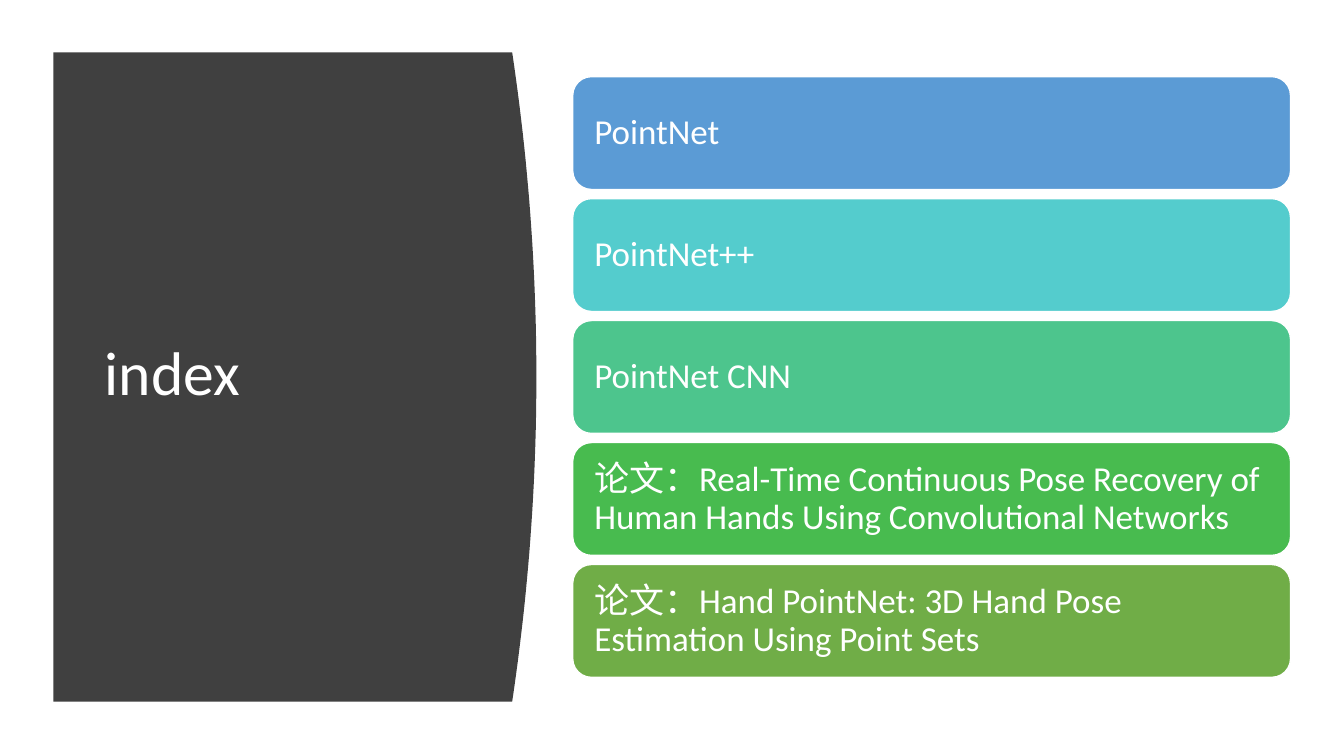
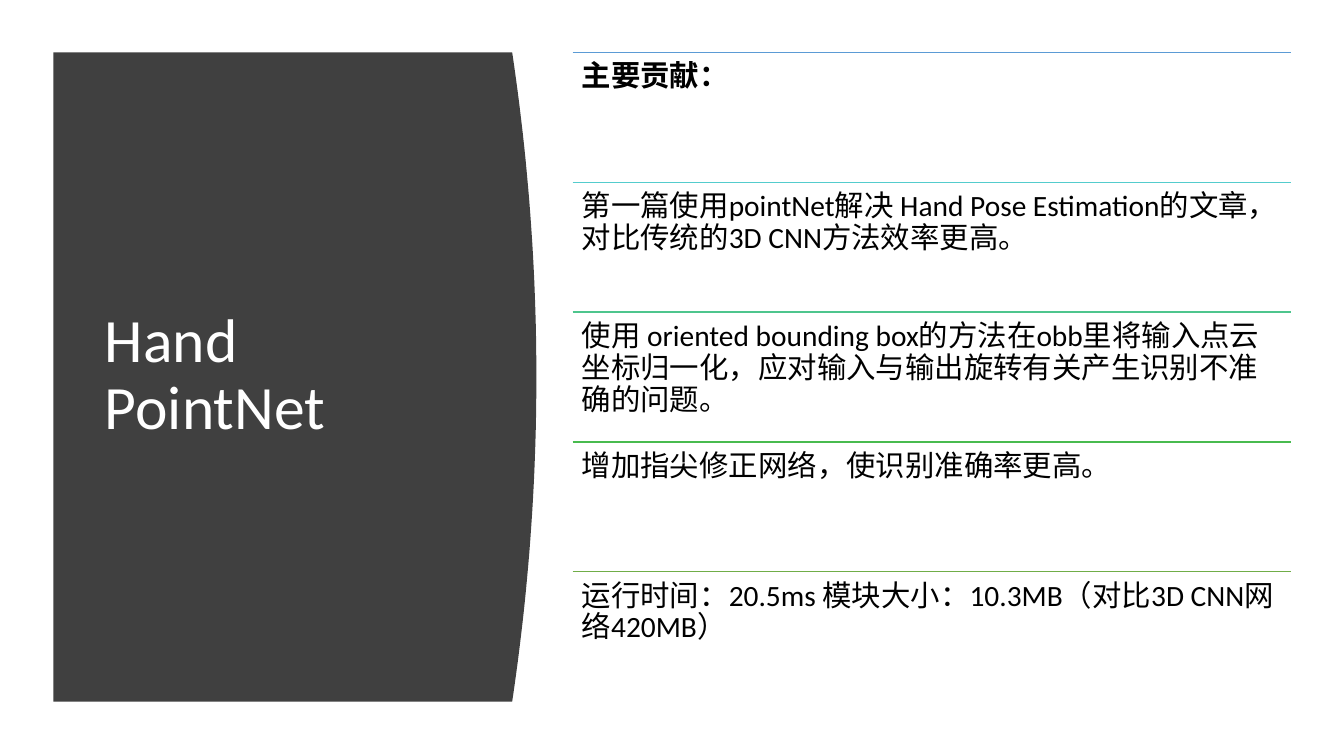
from pptx import Presentation
from pptx.dml.color import RGBColor
from pptx.enum.shapes import MSO_CONNECTOR, MSO_SHAPE
from pptx.enum.text import MSO_ANCHOR, MSO_AUTO_SIZE, PP_ALIGN
from pptx.oxml.ns import qn
from pptx.util import Inches, Pt
from lxml.etree import SubElement

# Shared grid, in inches
SLIDE_W, SLIDE_H = 13.33, 7.5
PANEL_LEFT, PANEL_TOP, PANEL_H = 0.53, 0.52, 6.44
PANEL_EDGE, PANEL_BULGE, CURVE_STEPS = 5.08, 0.24, 48
LIST_LEFT, LIST_W = 5.68, 7.12
TITLE_BOX = (0.94, 1.11, 3.74, 5.24)

# Shared style
FONT = "Calibri"
WHITE, BLACK, PANEL_FILL = "FFFFFF", "000000", "404040"
ROW_COLOURS = ("5B9BD5", "54CCCD", "4DC58D", "48BB4F", "70AD47")


def colour(hex_string):
    return RGBColor.from_string(hex_string)


class Deck:
    """Holds the style and the slide being built."""

    def __init__(self):
        self.prs = Presentation()
        self.prs.slide_width = Inches(SLIDE_W)
        self.prs.slide_height = Inches(SLIDE_H)
        self.slide = None

    def set_text(self, shape, text, size, text_colour, anchor, inset, bold=False):
        frame = shape.text_frame
        frame.word_wrap = True
        frame.auto_size = MSO_AUTO_SIZE.NONE
        frame.vertical_anchor = anchor
        frame.margin_left = frame.margin_right = Inches(inset)
        frame.margin_top = frame.margin_bottom = Inches(min(inset, 0.1))
        frame.text = text
        paragraph = frame.paragraphs[0]
        paragraph.alignment = PP_ALIGN.LEFT
        paragraph.line_spacing = 0.9
        font = paragraph.font
        font.name, font.size, font.bold = FONT, Pt(size), bold
        font.color.rgb = colour(text_colour)

    def add_slide(self, title):
        self.slide = self.prs.slides.add_slide(self.prs.slide_layouts[5])
        heading = self.slide.shapes.title
        heading.left, heading.top, heading.width, heading.height = map(Inches, TITLE_BOX)
        self.set_text(heading, title, 44, WHITE, MSO_ANCHOR.MIDDLE, 0.1)
        self.panel()

    def panel(self):
        """Dark panel whose right side is a shallow parabola."""
        bottom = PANEL_TOP + PANEL_H
        outline = []
        for step in range(CURVE_STEPS + 1):
            share = step / CURVE_STEPS
            x = PANEL_EDGE + PANEL_BULGE * (1 - (2 * share - 1) ** 2)
            outline.append((Inches(x), Inches(PANEL_TOP + share * PANEL_H)))
        outline.append((Inches(PANEL_LEFT), Inches(bottom)))
        builder = self.slide.shapes.build_freeform(Inches(PANEL_LEFT), Inches(PANEL_TOP))
        builder.add_line_segments(outline, close=True)
        panel = builder.convert_to_shape()
        panel.shadow.inherit = False
        panel.fill.solid()
        panel.fill.fore_color.rgb = colour(PANEL_FILL)
        panel.line.fill.background()
        # Place the panel behind the title
        self.slide.shapes.title.element.addprevious(panel.element)

    def card(self, text, top, height, fill):
        card = self.slide.shapes.add_shape(
            MSO_SHAPE.ROUNDED_RECTANGLE,
            *map(Inches, (LIST_LEFT, top, LIST_W, height)))
        card.shadow.inherit = False
        card.fill.solid()
        card.fill.fore_color.rgb = colour(fill)
        card.line.color.rgb = colour(WHITE)
        card.line.width = Pt(1)
        self.set_text(card, text, 25, WHITE, MSO_ANCHOR.MIDDLE, 0.16)

    def rule(self, top, line_colour):
        rule = self.slide.shapes.add_connector(
            MSO_CONNECTOR.STRAIGHT,
            *map(Inches, (LIST_LEFT, top, LIST_LEFT + LIST_W, top)))
        rule.line.color.rgb = colour(line_colour)
        rule.line.width = Pt(1)
        SubElement(rule.element.spPr, qn("a:effectLst"))

    def ruled_row(self, text, top, height, line_colour, bold):
        self.rule(top, line_colour)
        row = self.slide.shapes.add_textbox(
            *map(Inches, (LIST_LEFT, top, LIST_W, height)))
        self.set_text(row, text, 21, BLACK, MSO_ANCHOR.TOP, 0.09, bold)


def build_index(deck):
    topics = (
        "PointNet",
        "PointNet++",
        "PointNet CNN",
        "论文：Real-Time Continuous Pose Recovery of Human Hands Using Convolutional Networks",
        "论文：Hand PointNet: 3D Hand Pose Estimation Using Point Sets",
    )
    first_top, card_height, pitch = 0.76, 1.12, 1.21
    deck.add_slide("index")
    for i, (topic, fill) in enumerate(zip(topics, ROW_COLOURS)):
        deck.card(topic, first_top + i * pitch, card_height, fill)


def build_contributions(deck):
    contributions = (
        "主要贡献：",
        "第一篇使用pointNet解决 Hand Pose Estimation的文章，对比传统的3D CNN方法效率更高。",
        "使用 oriented bounding box的方法在obb里将输入点云坐标归一化，应对输入与输出旋转有关产生识别不准确的问题。",
        "增加指尖修正网络，使识别准确率更高。",
        "运行时间：20.5ms 模块大小：10.3MB（对比3D CNN网络420MB）",
    )
    row_height = PANEL_H / len(contributions)
    deck.add_slide("Hand PointNet")
    for i, (point, line_colour) in enumerate(zip(contributions, ROW_COLOURS)):
        deck.ruled_row(point, PANEL_TOP + i * row_height, row_height,
                       line_colour, bold=i == 0)


def main():
    deck = Deck()
    build_index(deck)
    build_contributions(deck)
    deck.prs.save("out.pptx")


if __name__ == "__main__":
    main()
